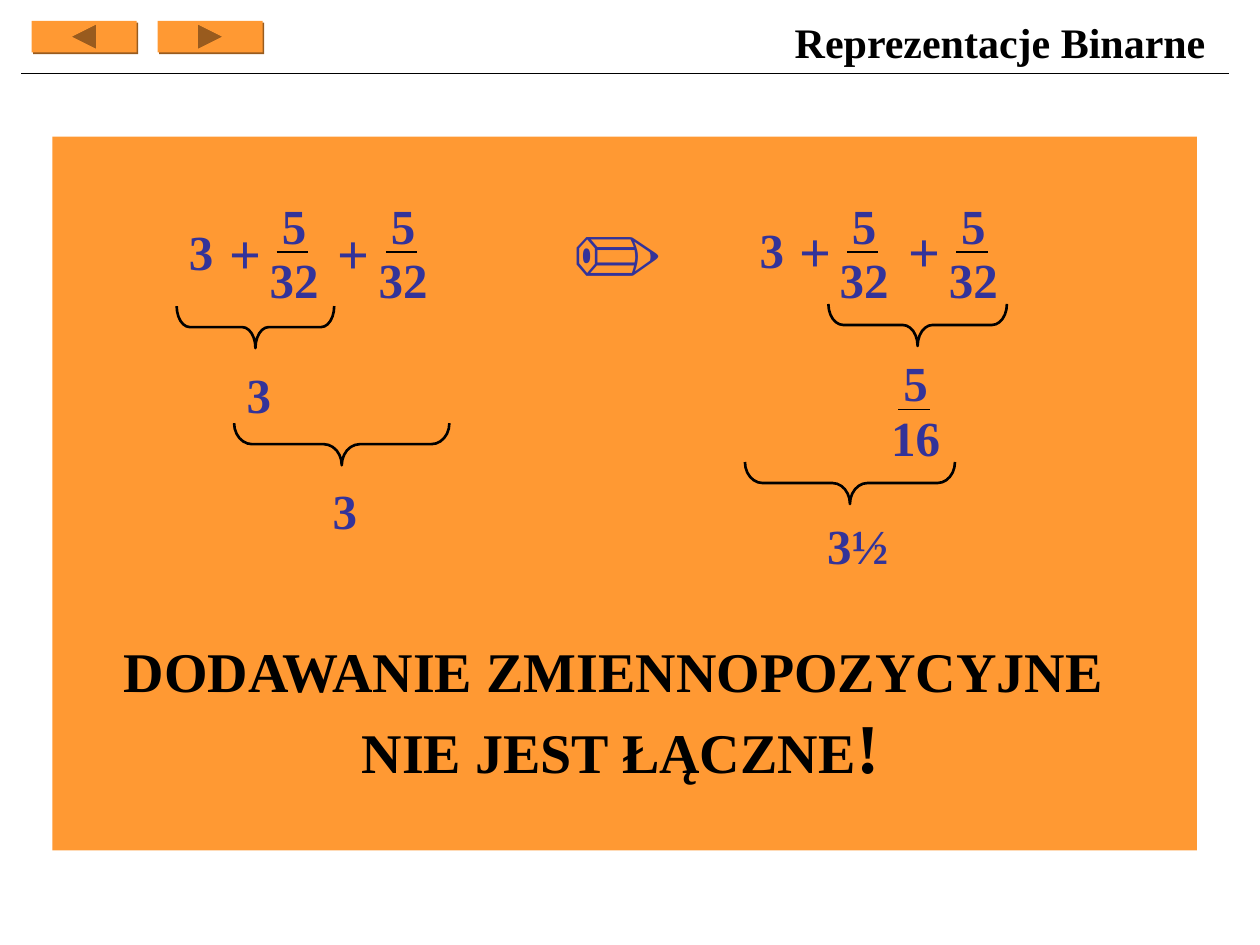
import pptx
import pptx.util
import pptx.dml.color
import pptx.enum.shapes
import pptx.enum.text
import pptx.oxml
import pptx.oxml.ns

Kind = pptx.enum.shapes.MSO_SHAPE
Align = pptx.enum.text.PP_ALIGN
Anchor = pptx.enum.text.MSO_ANCHOR
Color = pptx.dml.color.RGBColor.from_string
Pt = pptx.util.Pt

theme = {
    "orange": "FF9933", "edge": "985B1E", "ink": "000000", "math": "333399",
    "font": "Times New Roman", "symbol font": "Cambria",
    "header": 24, "number": 28, "sign": 32, "slogan": 32, "accent": 40, "pencil": 54,
    "hairline": 0.75, "brace": 1.5,
}

deck = pptx.Presentation()
deck.slide_width = pptx.util.Inches(10)
deck.slide_height = pptx.util.Inches(7.5)
slide = deck.slides.add_slide(deck.slide_layouts[6])
cell = deck.slide_width / 120


def write(parent, lines, box, size, color="math", align=Align.LEFT, wrap=True, font="font"):
    label = parent.add_textbox(*[int(length * cell) for length in box])
    frame = label.text_frame
    frame.text = lines
    frame.word_wrap = wrap
    for paragraph in frame.paragraphs:
        paragraph.alignment = align
        for run in paragraph.runs:
            run.font.name = theme[font]
            run.font.size = Pt(theme[size])
            run.font.bold = True
            run.font.color.rgb = Color(theme[color])
    return frame


def rule(parent, start, end, row):
    stroke = parent.add_connector(
        pptx.enum.shapes.MSO_CONNECTOR.STRAIGHT,
        int(start * cell), int(row * cell), int(end * cell), int(row * cell))
    stroke.line.color.rgb = Color(theme["ink"])
    stroke.line.width = Pt(theme["hairline"])
    stroke._element.spPr.append(pptx.oxml.parse_xml(
        f'<a:effectLst {pptx.oxml.ns.nsdecls("a")}/>'))


header = write(slide.shapes, "Reprezentacje Binarne", (72, 1, 44, 6), "header", "ink", Align.RIGHT)
header.vertical_anchor = Anchor.MIDDLE
rule(slide.shapes, 117, 2, 7)

for kind, box in [
    (Kind.ACTION_BUTTON_BACK_OR_PREVIOUS, (3, 2, 10, 3)),
    (Kind.ACTION_BUTTON_FORWARD_OR_NEXT, (15, 2, 10, 3)),
    (Kind.RECTANGLE, (5, 13, 109, 68)),
]:
    panel = slide.shapes.add_shape(kind, *[int(length * cell) for length in box])
    panel.shadow.inherit = False
    panel.fill.solid()
    panel.fill.fore_color.rgb = Color(theme["orange"])
    panel.line.fill.background()
    if kind != Kind.RECTANGLE:
        effects = panel._element.spPr.find(pptx.oxml.ns.qn("a:effectLst"))
        effects.append(pptx.oxml.parse_xml(
            f'<a:outerShdw {pptx.oxml.ns.nsdecls("a")} dist="17780" dir="2700000" '
            f'algn="ctr" rotWithShape="0"><a:srgbClr val="{theme["edge"]}"/></a:outerShdw>'))

for column, row in [(0, 20.2), (54.36, 20)]:
    write(slide.shapes, "3", (column + 16.8, row + 0.3, 4.7, 6.8), "number", wrap=False)
    for term in range(2):
        write(slide.shapes, "+", (column + 20.64 + term * 10.36, row, 11, 7.7), "sign")

for center, row, denominator in [
    (28, 18, "32"), (38.4, 18, "32"), (82.3, 18, "32"), (92.7, 18, "32"), (87.2, 33, "16"),
]:
    fraction = slide.shapes.add_group_shape().shapes
    write(fraction, "5", (center - 2.5, row, 5, 6.8), "number", align=Align.CENTER)
    write(fraction, denominator, (center - 4.25, row + 5.2, 8.5, 6.8), "number", align=Align.CENTER)
    rule(fraction, center - 1.65, center + 1.35, row + 6)

depth = 4
for center, middle, span in [
    (24.33, 31.15, 15), (32.55, 42.3, 20.5), (87.4, 30.95, 17), (80.95, 46, 20),
]:
    brace = slide.shapes.add_shape(
        Kind.LEFT_BRACE, int((center - depth / 2) * cell), int((middle - span / 2) * cell),
        int(depth * cell), int(span * cell))
    brace.rotation = 270
    brace.adjustments[0] = span / depth / 12
    brace.shadow.inherit = False
    brace.fill.background()
    brace.line.color.rgb = Color(theme["ink"])
    brace.line.width = Pt(theme["brace"])

for result, column, row, width in [
    ("3", 22.3, 34.1, 4.7), ("3", 30.5, 45.2, 4.7), ("3½", 77.6, 48.5, 8.2),
]:
    write(slide.shapes, result, (column, row, width, 6.8), "number", wrap=False)

write(slide.shapes, "✏", (53.3, 18, 15, 12), "pencil", font="symbol font")

slogan = write(slide.shapes, "DODAWANIE ZMIENNOPOZYCYJNE \nNIE JEST ŁĄCZNE", (10, 60, 98.2, 15.6),
               "slogan", "ink", Align.CENTER, wrap=False)
exclamation = slogan.paragraphs[1].add_run()
exclamation.text = "!"
exclamation.font.name = theme["font"]
exclamation.font.size = Pt(theme["accent"])
exclamation.font.bold = True
exclamation.font.color.rgb = Color(theme["ink"])

deck.save("out.pptx")
